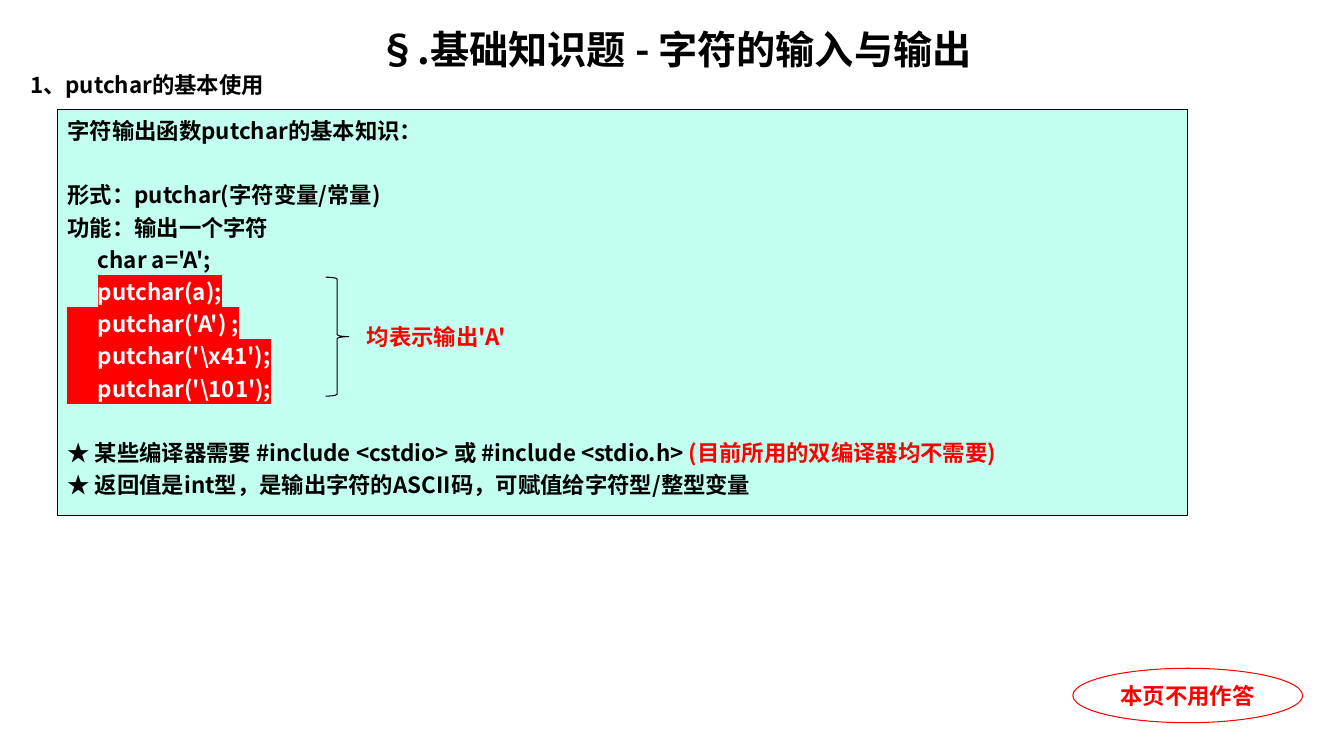
from dataclasses import dataclass

from lxml.etree import SubElement
from pptx import Presentation
from pptx.dml.color import RGBColor
from pptx.enum.shapes import MSO_SHAPE as Shape
from pptx.enum.text import MSO_ANCHOR as Anchor, MSO_AUTO_SIZE as AutoSize, PP_ALIGN as Align
from pptx.oxml.ns import qn
from pptx.util import Inches, Pt


@dataclass(frozen=True)
class Theme:
    black: str = "000000"
    white: str = "FFFFFF"
    red: str = "FF0000"
    mint: str = "C2FFF0"
    font: str = "Noto Sans CJK SC"
    note_font: str = "Times New Roman"
    title_size: int = 28
    body_size: int = 16
    line_pitch: int = 23
    border: float = 0.75


T = Theme()


@dataclass(frozen=True)
class Run:
    text: str
    color: str = T.black
    highlight: str = ""
    size: int = T.body_size
    font: str = T.font


@dataclass(frozen=True)
class Line:
    runs: tuple[Run, ...]
    gap: int = 0


@dataclass(frozen=True)
class Box:
    left: float
    top: float
    width: float
    height: float

    def emu(self) -> tuple:
        return tuple(Inches(v) for v in (self.left, self.top, self.width, self.height))


def add_run(p, run: Run) -> None:
    r = p.add_run()
    r.text = run.text
    r.font.size = Pt(run.size)
    r.font.bold = True
    r.font.color.rgb = RGBColor.from_string(run.color)
    rPr = r.font._element
    if run.highlight:
        SubElement(SubElement(rPr, qn("a:highlight")), qn("a:srgbClr"), val=run.highlight)
    SubElement(rPr, qn("a:latin"), typeface=run.font)
    SubElement(rPr, qn("a:ea"), typeface=T.font)


def write(s, lines: list[Line], align=Align.LEFT, anchor=Anchor.TOP, pitch: int = 0) -> None:
    tf = s.text_frame
    tf.word_wrap = True
    tf.auto_size = AutoSize.NONE
    tf.vertical_anchor = anchor
    for i, line in enumerate(lines):
        p = tf.add_paragraph() if i else tf.paragraphs[0]
        p.alignment = align
        p.space_before = Pt(line.gap)
        if pitch:
            p.line_spacing = Pt(pitch)
        for run in line.runs:
            add_run(p, run)


def add_outline(slide, kind: Shape, box: Box, line: str, fill: str = ""):
    s = slide.shapes.add_shape(kind, *box.emu())
    s.shadow.inherit = False
    s.line.color.rgb = RGBColor.from_string(line)
    s.line.width = Pt(T.border)
    if fill:
        s.fill.solid()
        s.fill.fore_color.rgb = RGBColor.from_string(fill)
    else:
        s.fill.background()
    return s


def add_label(slide, box: Box, run: Run) -> None:
    write(slide.shapes.add_textbox(*box.emu()), [Line((run,))])


def plain(text: str, gap: int = 0) -> Line:
    return Line((Run(text),), gap)


def call(text: str) -> Run:
    return Run(text, T.white, T.red)


INDENT = " " * 6
BODY = [
    plain("字符输出函数putchar的基本知识："),
    plain("形式：putchar(字符变量/常量)", T.line_pitch),
    plain("功能：输出一个字符"),
    plain(INDENT + "char a='A';"),
    Line((Run(INDENT), call("putchar(a);"))),
    *(Line((call(f"{INDENT}putchar({arg};"),)) for arg in ("'A') ", r"'\x41')", r"'\101')")),
    Line((Run("★ 某些编译器需要 #include <cstdio> 或 #include <stdio.h> "),
          Run("(目前所用的双编译器均不需要)", T.red)), T.line_pitch),
    plain("★ 返回值是int型，是输出字符的ASCII码，可赋值给字符型/整型变量"),
]


def main() -> None:
    prs = Presentation()
    prs.slide_width, prs.slide_height = Inches(13.33), Inches(7.5)
    slide = prs.slides.add_slide(prs.slide_layouts[5])

    # Title and section heading
    title = slide.shapes.title
    title.left, title.top, title.width, title.height = Box(0.2, 0.18, 12.99, 0.6).emu()
    write(title, [Line((Run("§.基础知识题 - 字符的输入与输出", size=T.title_size),))],
          Align.CENTER, Anchor.MIDDLE)
    add_label(slide, Box(0.2, 0.66, 6, 0.42), Run("1、putchar的基本使用"))

    # Explanation panel
    panel = add_outline(slide, Shape.RECTANGLE, Box(0.57, 1.09, 11.21, 4.02), T.black, T.mint)
    panel.text_frame.margin_top = Inches(0.02)
    write(panel, BODY, pitch=T.line_pitch)

    # Brace joining the equivalent calls
    add_outline(slide, Shape.RIGHT_BRACE, Box(3.23, 2.75, 0.23, 1.18), T.black)
    add_label(slide, Box(3.54, 3.16, 1.89, 0.34), Run("均表示输出'A'", T.red))

    # Footer note
    note = add_outline(slide, Shape.OVAL, Box(10.64, 6.63, 2.28, 0.54), T.red)
    write(note, [Line((Run("本页不用作答", T.red, font=T.note_font),))],
          Align.CENTER, Anchor.MIDDLE)

    prs.save("out.pptx")


if __name__ == "__main__":
    main()
